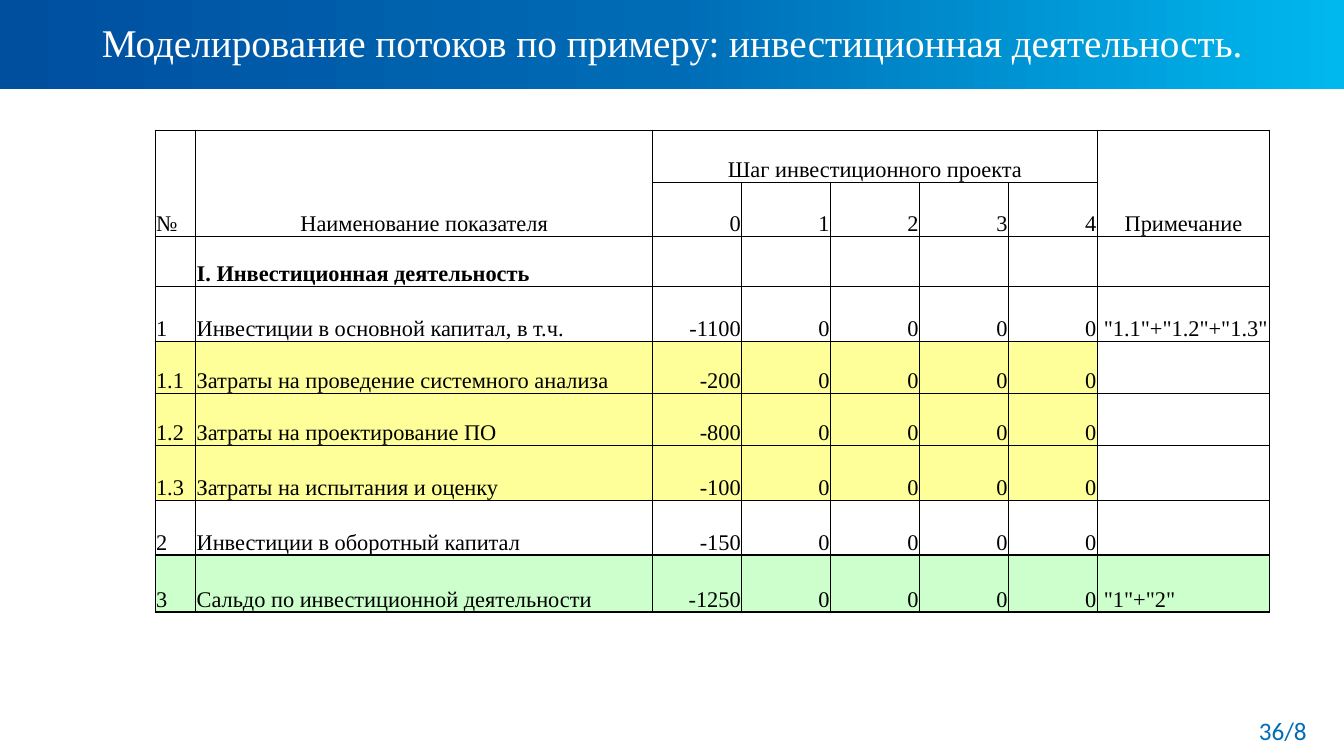
from dataclasses import dataclass

from pptx import Presentation
from pptx.dml.color import RGBColor
from pptx.enum.shapes import MSO_SHAPE
from pptx.enum.text import MSO_ANCHOR as Anchor, PP_ALIGN as Align
from pptx.oxml import parse_xml
from pptx.oxml.ns import nsdecls
from pptx.util import Pt

SERIF, SANS = "Times New Roman", "Calibri"
BLACK, WHITE, BLUE = "000000", "FFFFFF", "006CB6"
YELLOW, GREEN = "FFFF99", "CCFFCC"
THIN, THICK = 0.5, 1


@dataclass
class TextStyle:
    size: float
    font: str
    color: str
    align: Align = Align.LEFT
    bold: bool = False


@dataclass
class Row:
    height: float
    cells: list[str]
    fill: str | None = None
    filled_columns: int = 8
    bold: bool = False


@dataclass
class Merge:
    top: int
    left: int
    bottom: int
    right: int


ZEROS = ["0"] * 4
COLUMN_WIDTHS = [29, 326.5] + [63.5] * 5 + [123.2]
HEADER_ROWS = 2
ROWS = [
    Row(37.2, ["№", "Наименование показателя", "Шаг инвестиционного проекта",
               "", "", "", "", "Примечание"]),
    Row(39, ["", "", "0", "1", "2", "3", "4", ""]),
    Row(35.5, ["", "I. Инвестиционная деятельность"] + [""] * 6, bold=True),
    Row(39.2, ["1", "Инвестиции в основной капитал, в т.ч.", "-1100", *ZEROS,
               ' "1.1"+"1.2"+"1.3"']),
    Row(37.2, ["1.1", "Затраты на проведение системного анализа", "-200", *ZEROS, ""],
        YELLOW, 7),
    Row(37.2, ["1.2", "Затраты на проектирование ПО", "-800", *ZEROS, ""], YELLOW, 7),
    Row(39.1, ["1.3", "Затраты на испытания и оценку", "-100", *ZEROS, ""], YELLOW, 7),
    Row(39.1, ["2", "Инвестиции в оборотный капитал", "-150", *ZEROS, ""]),
    Row(40.8, ["3", "Сальдо по инвестиционной деятельности", "-1250", *ZEROS,
               ' "1"+"2"'], GREEN),
]
MERGES = [Merge(0, 0, 1, 0), Merge(0, 1, 1, 1), Merge(0, 2, 0, 6), Merge(0, 7, 1, 7)]
THIN_RULES = {1, 5, 6}  # horizontal grid lines counted from the table top


def rgb(color: str) -> RGBColor:
    return RGBColor.from_string(color)


def add_text(paragraph, text: str, style: TextStyle) -> None:
    paragraph.alignment = style.align
    run = paragraph.add_run()
    run.text = text
    run.font.size = Pt(style.size)
    run.font.name = style.font
    run.font.bold = style.bold
    run.font.color.rgb = rgb(style.color)


def add_text_box(slide, left: float, top: float, width: float, height: float,
                 text: str, style: TextStyle) -> None:
    shape = slide.shapes.add_textbox(Pt(left), Pt(top), Pt(width), Pt(height))
    shape.text_frame.word_wrap = True
    add_text(shape.text_frame.paragraphs[0], text, style)


def add_banner(slide, width: float, height: float) -> None:
    shape = slide.shapes.add_shape(MSO_SHAPE.RECTANGLE, 0, 0, Pt(width), Pt(height))
    shape.shadow.inherit = False
    shape.line.fill.background()
    shape.fill.gradient()
    shape.fill.gradient_angle = 0
    stop_list = shape.element.spPr.find(".//{*}gsLst")
    stop_list.clear()
    for position, color in ((0, "004F9F"), (50, BLUE), (100, "00B8EE")):
        stop_list.append(parse_xml(
            f'<a:gs {nsdecls("a")} pos="{position * 1000}">'
            f'<a:srgbClr val="{color}"/></a:gs>'))


def add_border(cell, side: str, weight: float) -> None:
    cell._tc.get_or_add_tcPr().append(parse_xml(
        f'<a:ln{side} {nsdecls("a")} w="{Pt(weight)}"><a:solidFill>'
        f'<a:srgbClr val="{BLACK}"/></a:solidFill></a:ln{side}>'))


def draw_borders(cell, row: int, column: int) -> None:
    """Outline a cell, leaving out edges inside a merged area."""
    area = next((m for m in MERGES if m.top <= row <= m.bottom
                 and m.left <= column <= m.right), Merge(row, column, row, column))
    last = len(COLUMN_WIDTHS) - 1
    if column == area.left:
        add_border(cell, "L", THICK if column == 0 else THIN)
    if column == area.right:
        add_border(cell, "R", THICK if column == last else THIN)
    if row == area.top:
        add_border(cell, "T", THIN if row in THIN_RULES else THICK)
    if row == area.bottom:
        add_border(cell, "B", THIN if row + 1 in THIN_RULES else THICK)


def cell_align(row: int, column: int) -> Align:
    if 2 <= column <= 6 and row > 0:
        return Align.RIGHT
    return Align.CENTER if row < HEADER_ROWS and column > 0 else Align.LEFT


def add_flow_table(slide, left: float, top: float) -> None:
    table = slide.shapes.add_table(
        len(ROWS), len(COLUMN_WIDTHS), Pt(left), Pt(top), Pt(sum(COLUMN_WIDTHS)),
        Pt(sum(row.height for row in ROWS))).table
    table.first_row = table.horz_banding = False
    for column, width in enumerate(COLUMN_WIDTHS):
        table.columns[column].width = Pt(width)

    for row_index, row in enumerate(ROWS):
        table.rows[row_index].height = Pt(row.height)
        for column, text in enumerate(row.cells):
            cell = table.cell(row_index, column)
            cell.vertical_anchor = Anchor.BOTTOM
            cell.margin_left = cell.margin_right = cell.margin_top = Pt(0.7)
            cell.margin_bottom = 0
            draw_borders(cell, row_index, column)
            if row.fill and column < row.filled_columns:
                cell.fill.solid()
                cell.fill.fore_color.rgb = rgb(row.fill)
            else:
                cell.fill.background()
            if text:
                style = TextStyle(16, SERIF, BLACK, cell_align(row_index, column), row.bold)
                add_text(cell.text_frame.paragraphs[0], text, style)

    for area in MERGES:
        table.cell(area.top, area.left).merge(table.cell(area.bottom, area.right))


def main() -> None:
    presentation = Presentation()
    presentation.slide_width, presentation.slide_height = Pt(960), Pt(540)
    slide = presentation.slides.add_slide(presentation.slide_layouts[6])

    # Header band and title
    add_banner(slide, 960, 63.5)
    add_text_box(slide, 26.5, 9.5, 907, 54.5,
                 "Моделирование потоков по примеру: инвестиционная деятельность.",
                 TextStyle(28, SERIF, WHITE, Align.CENTER))

    # Investment cash flows
    add_flow_table(slide, 110.8, 93)

    # Page number
    add_text_box(slide, 875.5, 507.5, 65, 29, "36/8",
                 TextStyle(18, SANS, BLUE, Align.RIGHT))

    presentation.save("out.pptx")


if __name__ == "__main__":
    main()
